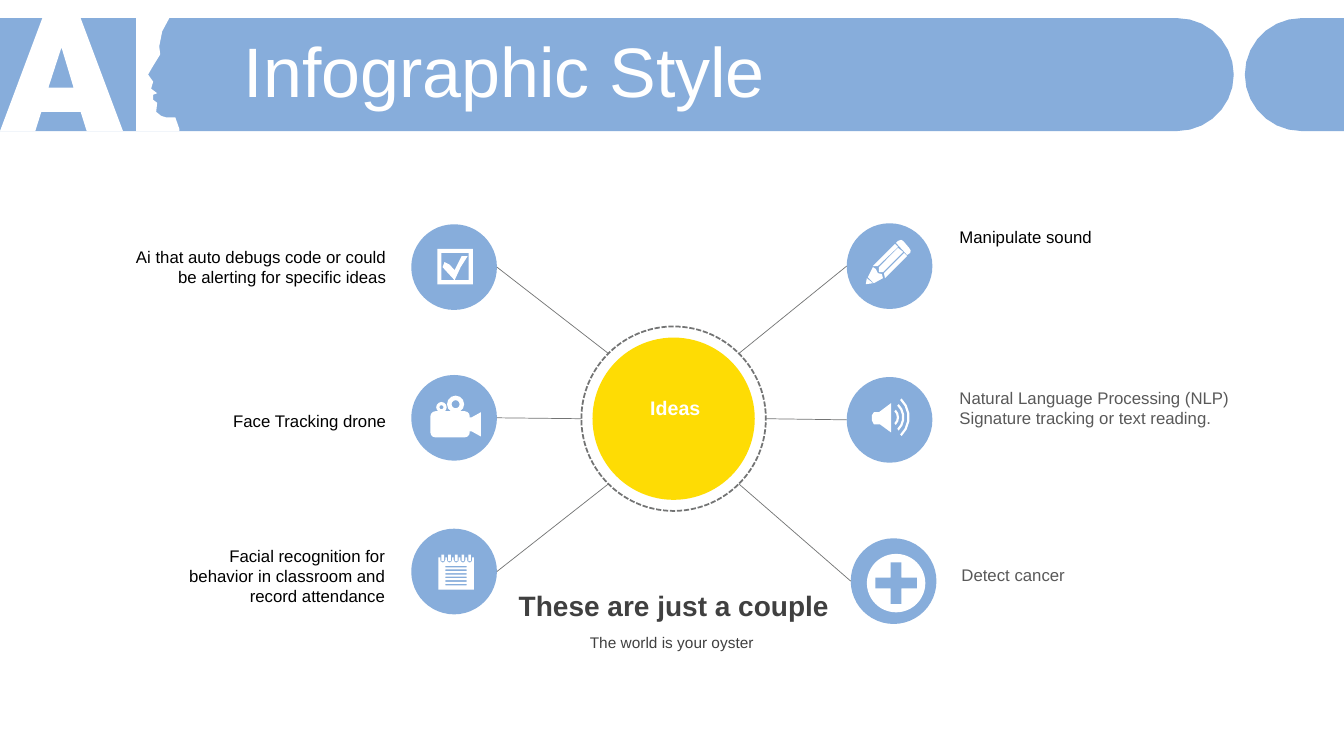
import math
from itertools import chain
from lxml import etree
from pptx import Presentation
from pptx import util as u
from pptx.dml.color import RGBColor
from pptx.enum import dml, shapes, text
from pptx.oxml.ns import qn


class Theme:
    font = "Arial"
    blue, gold, white = "87ADDB", "FEDC04", "FFFFFF"
    black, grey, dark, rule = "000000", "595959", "404040", "737474"
    title, head, hub, body, small = 50, 20, 14, 12, 11


# Layout numbers are steps of 0.0254 cm, a hundredth of an inch.
STEP = 0.0254
WIDE, HIGH = 1333.33, 750
BAR = (18, 130)
HUB = (668.3, 415.4)
DISC, RING, NODE = 161, 183, 85

TITLE = "Infographic Style"
CORE = "Ideas"
CLOSE = ("These are just a couple", "The world is your oyster")

# wording, text box (left, top, width, height), colour, disc corner
LEFT = [
    ("Ai that auto debugs code or could be alerting for specific ideas",
     (94, 240, 299, 50), Theme.black, (408, 222.5)),
    ("Face Tracking drone", (94, 403, 299, 30), Theme.black, (408, 372)),
    ("Facial recognition for behavior in classroom and record attendance",
     (135, 536, 257, 71), Theme.black, (408, 524.5)),
]
RIGHT = [
    ("Manipulate sound", (942, 220, 297, 50), Theme.black, (840, 221.5)),
    ("Natural Language Processing (NLP) Signature tracking or text reading.",
     (942, 380, 297, 50), Theme.grey, (840, 374)),
    ("Detect cancer", (944, 555, 297, 30), Theme.grey, (844, 534)),
]


def arc(x, y, r, start, end):
    """Points on a circle, angles in degrees clockwise from the right."""
    count = max(2, round(abs(end - start) / 360 * (6 + 3 * math.sqrt(r))))
    turns = [math.radians(start + (end - start) * i / count) for i in range(count + 1)]
    return [(x + r * math.cos(t), y + r * math.sin(t)) for t in turns]


def box(x1, y1, x2, y2):
    return [(x1, y1), (x2, y1), (x2, y2), (x1, y2)]


def band(x, y, r, thick, half):
    """A thick arc that opens to the left."""
    return arc(x, y, r, -half, half) + arc(x, y, r + thick, half, -half)


MID, CAP = sum(BAR) / 2, (BAR[1] - BAR[0]) / 2
LONG = [(0, BAR[0])] + arc(1168, MID, CAP, -90, 90) + [(0, BAR[1])]
STUB = [(WIDE, BAR[0])] + arc(1291, MID, CAP, -90, -270) + [(WIDE, BAR[1])]

LETTER = [
    [(42, 18), (80, 18), (122, 130), (86, 130), (80, 111), (41, 111), (35, 130), (0, 130)],
    [(61, 47), (48, 87), (73, 87)],
]
FACE = [(135, 18), (168, 18), (161, 31), (158, 46), (159, 54), (151, 67), (147, 74),
        (152, 81), (150, 88), (156, 92.5), (152, 94), (152, 99), (156, 102),
        (155, 111), (160, 115), (165, 116.5), (174, 116.5), (178, 128),
        (178, 130), (135, 130)]

CHECK = [
    box(434, 247, 469, 282),
    box(438, 251, 465, 278),
    [(439, 265), (441, 260), (446, 262.5), (451, 268), (458, 254),
     (464, 254), (457, 265), (451, 278)],
]

# centre, outer and inner radius
REELS = [(452, 401, 8.5, 4), (438, 404, 5.2, 2)]
BODY = (427, 408, 39, 26)
LENS = [[(465, 414), (468, 414), (477, 409), (477, 433), (468, 428), (465, 428)]]

HOLES = [439.3 + 6.65 * i for i in range(5)]
NOTCH = chain.from_iterable(
    [(x - 2.5, 553), *arc(x, 555.5, 2.5, 180, 0), (x + 2.5, 553)] for x in HOLES)
PAD = [[(435, 553), *NOTCH, (470, 553), (470, 585), (435, 585)]]
PAD += [box(x - 1.3, 550.3, x + 1.3, 556.7) for x in HOLES]
PAD += [box(442, 561.4 + 3.55 * i, 463, 563 + 3.55 * i) for i in range(6)]

PENCIL = [
    [(860, 276), (866, 281), (859, 282)],
    [(866, 265), (869, 267), (871, 271), (875, 272), (876, 276), (867, 281), (861, 275)],
    [(897, 251), (900, 254), (878, 276), (877, 271)],
    [(891, 246), (896, 250), (876, 270), (872, 270), (872, 265)],
    [(888, 242), (891, 245), (871, 264), (866, 264)],
    [(889, 241), (891, 239), (894, 238), (896, 239), (902, 246), (903.5, 248.5),
     (903, 251), (900, 253)],
]

SOUND = [[(884, 400), (884, 429), (873, 421), (867, 421), (865, 417), (865, 412),
          (867, 409), (872, 409)]]
SOUND += [band(881.5 - 2.5 * i, 414, 8.3 + 7.75 * i, 2.2, 46) for i in range(3)]

AID = (889, 578.5, 29)
CROSS = (868.5, 558, 41, 41)


def cm(n):
    return u.Cm(n * STEP)


def tint(code):
    return RGBColor.from_string(code)


def paint(shape, fill=None):
    shape.shadow.inherit = False
    shape.line.fill.background()
    if fill:
        shape.fill.solid()
        shape.fill.fore_color.rgb = tint(fill)
    else:
        shape.fill.background()
    return shape


def trace(page, loops, fill=Theme.white):
    """One filled outline; a loop inside another cuts a hole."""
    fine = 100
    pen = None
    for loop in loops:
        spots = [(x * fine, y * fine) for x, y in loop]
        if pen is None:
            pen = page.build_freeform(*spots[0], scale=cm(1) / fine)
        else:
            pen.move_to(*spots[0])
        pen.add_line_segments(spots[1:], close=True)
    return paint(pen.convert_to_shape(), fill)


def stamp(page, kind, area, fill=None, bend=None):
    """A preset shape; bend is its first adjustment."""
    shape = page.add_shape(getattr(shapes.MSO_SHAPE, kind), *map(cm, area))
    if bend is not None:
        shape.adjustments[0] = bend
    return paint(shape, fill)


def disc(page, x, y, r, fill=None):
    return stamp(page, "OVAL", (x - r, y - r, 2 * r, 2 * r), fill)


def link(page, start, end):
    line = page.add_connector(shapes.MSO_CONNECTOR.STRAIGHT, *map(cm, start + end))
    line.line.color.rgb = tint(Theme.rule)
    line.line.width = u.Pt(0.5)
    etree.SubElement(line._element.spPr, qn("a:effectLst"))


def write(page, words, area, size=Theme.body, color=Theme.black, bold=False,
          align="LEFT", anchor="TOP", inset=(10, 5, 10, 5), space=None, before=0):
    frame = page.add_textbox(*map(cm, area)).text_frame
    frame.word_wrap = True
    frame.vertical_anchor = getattr(text.MSO_ANCHOR, anchor)
    (frame.margin_left, frame.margin_top,
     frame.margin_right, frame.margin_bottom) = map(cm, inset)
    para = frame.paragraphs[0]
    para.alignment = getattr(text.PP_ALIGN, align)
    para.space_before = u.Pt(before)
    if space:
        para.line_spacing = space
    run = para.add_run()
    run.text = words
    run.font.name, run.font.size, run.font.bold = Theme.font, u.Pt(size), bold
    run.font.color.rgb = tint(color)


def spokes(page, rows, side):
    """Discs, labels and links of one column; side is -1 left, 1 right."""
    reach, half = RING / 2, NODE / 2
    slant = reach * math.sqrt(0.5)
    ends = [(slant, -slant), (reach, 0), (slant, slant)]
    for (words, area, color, (x, y)), (dx, dy) in zip(rows, ends):
        disc(page, x + half, y + half, half, Theme.blue)
        edge = x + NODE if side < 0 else x
        link(page, (edge, y + half), (HUB[0] + side * dx, HUB[1] + dy))
        write(page, words, area, color=color, align="RIGHT" if side < 0 else "LEFT",
              inset=(26 if side < 0 else 10, 5, 10, 5))


def main():
    deck = Presentation()
    deck.slide_width, deck.slide_height = cm(WIDE), cm(HIGH)
    page = deck.slides.add_slide(deck.slide_layouts[6]).shapes

    trace(page, [LONG], Theme.blue)
    trace(page, LETTER)
    trace(page, [FACE])
    trace(page, [STUB], Theme.blue)
    write(page, TITLE, (232, 37, 1069, 79), size=Theme.title, color=Theme.white,
          anchor="MIDDLE", space=0.8, before=10)

    disc(page, *HUB, DISC / 2, Theme.gold)
    ring = disc(page, *HUB, RING / 2)
    ring.line.color.rgb = tint(Theme.rule)
    ring.line.width = u.Pt(1.25)
    ring.line.dash_style = dml.MSO_LINE.SQUARE_DOT

    spokes(page, LEFT, -1)
    spokes(page, RIGHT, 1)
    for icon in (CHECK, LENS, PAD, PENCIL, SOUND):
        trace(page, icon)
    stamp(page, "ROUNDED_RECTANGLE", BODY, Theme.white, bend=0.19)
    for x, y, r, hole in REELS:
        area = (x - r, y - r, 2 * r, 2 * r)
        stamp(page, "DONUT", area, Theme.white, bend=(r - hole) / (2 * r))
    disc(page, *AID, Theme.white)
    stamp(page, "CROSS", CROSS, Theme.blue, bend=0.37)

    write(page, CORE, (592, 388, 156, 34), size=Theme.hub, color=Theme.white,
          bold=True, align="CENTER")
    note = dict(color=Theme.dark, align="CENTER", inset=(0, 0, 0, 0))
    write(page, CLOSE[0], (514, 584, 309, 34), size=Theme.head, bold=True, **note)
    write(page, CLOSE[1], (529, 628, 275, 19), size=Theme.small, **note)
    deck.save("out.pptx")


if __name__ == "__main__":
    main()
